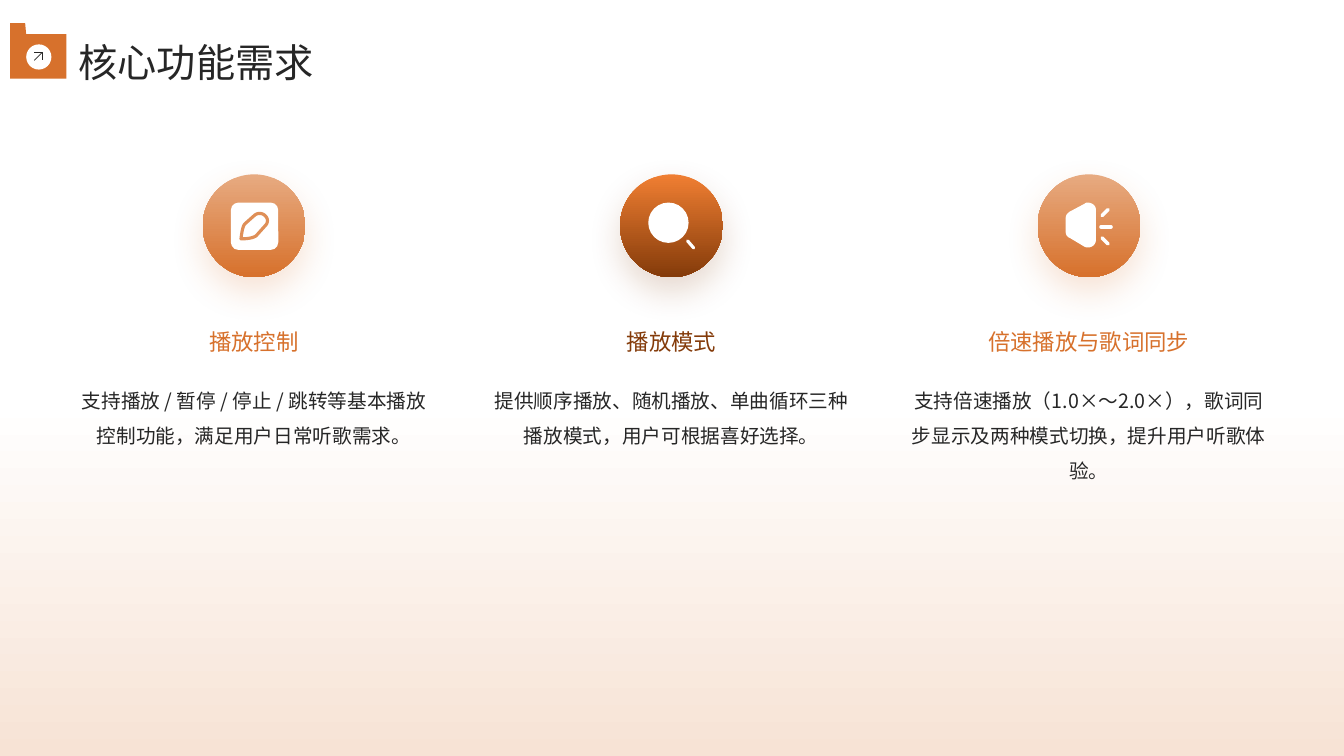
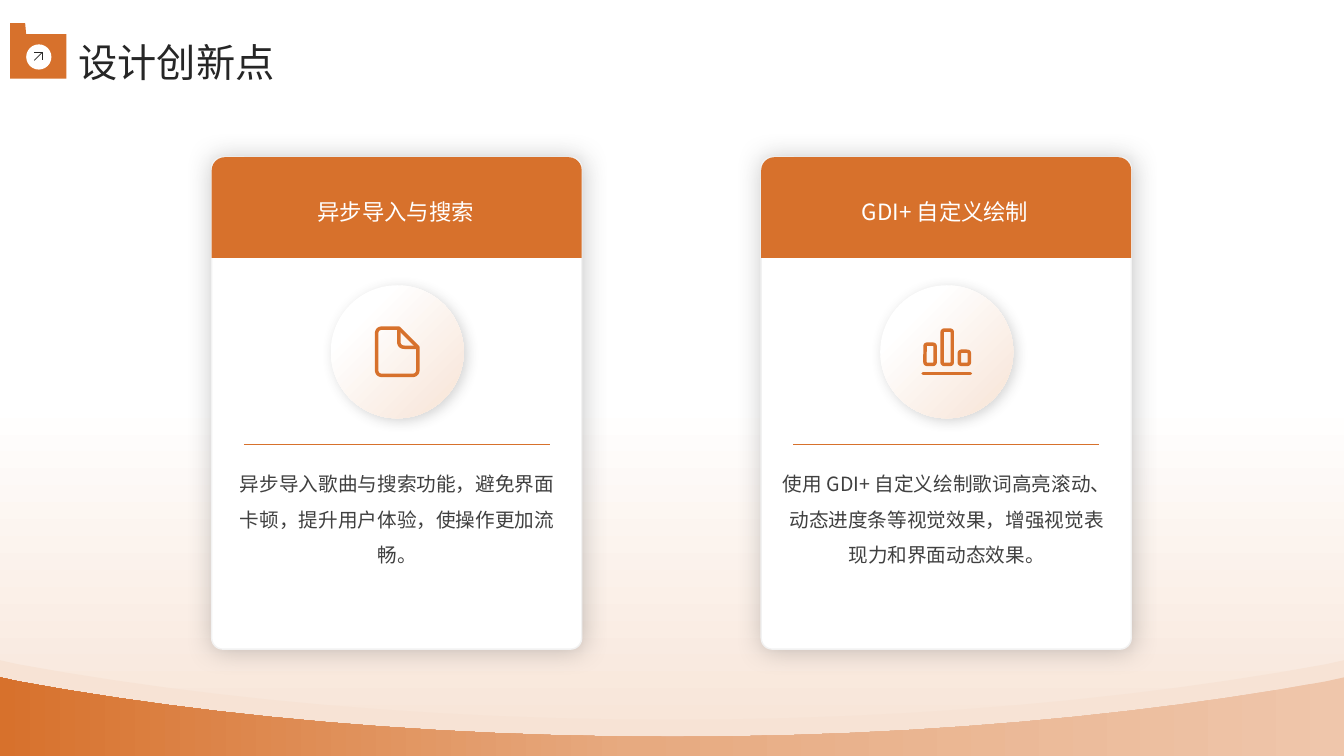
from copy import deepcopy
from dataclasses import dataclass

from lxml import etree
from pptx import Presentation
from pptx import util as u
from pptx.dml.color import RGBColor
from pptx.enum import shapes, text
from pptx.oxml.ns import qn

KIND = shapes.MSO_SHAPE
ALIGN = text.PP_ALIGN
ANCHOR = text.MSO_ANCHOR


@dataclass(frozen=True)
class Theme:
    font: str = "Noto Sans CJK SC"
    main: str = "D7712C"
    dark: str = "843B0A"
    glow: str = "EF7E32"
    soft: str = "E7AA80"
    pale: str = "EFC6AB"
    tint: str = "F7E3D5"
    leaf: str = "DF8F57"
    white: str = "FFFFFF"
    edge: str = "F2F2F2"
    ink: str = "262626"
    gray: str = "404040"
    title: int = 28
    head: int = 16
    body: int = 14


T = Theme()
WIDE, HIGH = 13.33, 7.5


def put(item, **vals):
    for name, val in vals.items():
        setattr(item, name, val)


def rgb(code):
    return RGBColor.from_string(code)


def paint(fill, look):
    """Look is None, a colour, or (angle, [(percent, colour), ...])."""
    if look is None:
        fill.background()
    elif isinstance(look, str):
        fill.solid()
        fill.fore_color.rgb = rgb(look)
    else:
        angle, stops = look
        fill.gradient()
        fill.gradient_angle = 360 - angle
        first = fill.gradient_stops[0]._gs
        for _ in stops[2:]:
            first.addnext(deepcopy(first))
        for stop, (part, code) in zip(fill.gradient_stops, stops):
            stop.color.rgb = rgb(code)
            stop.position = part / 100


def stroke(line, code, width):
    paint(line.fill, code)
    if code:
        line.width = u.Pt(width)


def shade(shape, code, alpha, blur, dist, angle):
    root = shape._element.spPr.find(qn("a:effectLst"))
    cast = etree.SubElement(
        root, qn("a:outerShdw"), blurRad=str(u.Pt(blur)), dist=str(u.Pt(dist)),
        dir=str(angle * 60000), algn="ctr", rotWithShape="0")
    tone = etree.SubElement(cast, qn("a:srgbClr"), val=code)
    etree.SubElement(tone, qn("a:alpha"), val=str(alpha * 1000))


def dress(shape, look, line=None, width=1, cast=None):
    shape.shadow.inherit = False
    paint(shape.fill, look)
    stroke(shape.line, line, width)
    if cast:
        shade(shape, *cast)
    return shape


def draw(slide, kind, box, look, adj=(), **more):
    shape = slide.shapes.add_shape(kind, *map(u.Inches, box))
    for i, val in enumerate(adj):
        shape.adjustments[i] = val
    return dress(shape, look, **more)


def bend(start, curve, steps=12):
    """Points along a cubic curve given as six numbers."""
    a, b, c, d = start, curve[:2], curve[2:4], curve[4:]
    for i in range(1, steps + 1):
        t = i / steps
        s = 1 - t
        yield tuple(s**3 * p + 3 * s * s * t * q + 3 * s * t * t * r + t**3 * e
                    for p, q, r, e in zip(a, b, c, d))


def trace(slide, x, y, route, look, close=True, **more):
    """Outline at x, y; pairs are corners, sixes are curves."""
    pts = [route[0]]
    for step in route[1:]:
        pts.extend([step] if len(step) == 2 else bend(pts[-1], step))
    spots = [(u.Inches(x + px), u.Inches(y + py)) for px, py in pts]
    pen = slide.shapes.build_freeform(*spots[0])
    pen.add_line_segments(spots[1:], close=close)
    return dress(pen.convert_to_shape(), look, **more)


def rule(slide, x, y, ends, code, width, cap="flat"):
    x1, y1, x2, y2 = ends
    line = slide.shapes.add_connector(
        shapes.MSO_CONNECTOR.STRAIGHT, u.Inches(x + x1), u.Inches(y + y1),
        u.Inches(x + x2), u.Inches(y + y2))
    stroke(line.line, code, width)
    line.line._get_or_add_ln().set("cap", cap)
    etree.SubElement(line._element.spPr, qn("a:effectLst"))


def write(frame, words, size, code, space, align=ALIGN.CENTER, anchor=ANCHOR.TOP, pad=0):
    put(frame, word_wrap=True, auto_size=text.MSO_AUTO_SIZE.NONE,
        vertical_anchor=anchor, margin_left=u.Inches(pad),
        margin_right=u.Inches(pad), margin_top=0, margin_bottom=0)
    para = frame.paragraphs[0]
    put(para, alignment=align, line_spacing=space)
    run = para.add_run()
    run.text = words
    put(run.font, name=T.font, size=u.Pt(size), bold=False)
    run.font.color.rgb = rgb(code)
    etree.SubElement(run._r.get_or_add_rPr(), qn("a:ea"), typeface=T.font)


def label(slide, box, words, *style, **more):
    area = slide.shapes.add_textbox(*map(u.Inches, box))
    write(area.text_frame, words, *style, **more)


def badge(slide, x, y):
    """Folder mark with an arrow in a disc."""
    trace(slide, x, y, [(0, 0), (0.15, 0), (0.16, 0.11), (0.56, 0.11),
                        (0.56, 0.55), (0, 0.55)], T.main)
    draw(slide, KIND.OVAL, (x + 0.16, y + 0.21, 0.25, 0.25), T.white)
    trace(slide, x + 0.24, y + 0.29, [(0, 0), (0.08, 0), (0.08, 0.08)], None,
          close=False, line=T.ink, width=0.5)
    rule(slide, x + 0.24, y + 0.29, (0, 0.08, 0.08, 0), T.ink, 0.5)


def start(deck, title):
    slide = deck.slides.add_slide(deck.slide_layouts[5])
    write(slide.shapes.title.text_frame, title, T.title, T.ink, 1.3,
          align=ALIGN.LEFT, anchor=ANCHOR.MIDDLE, pad=0.1)
    badge(slide, 0.1, 0.23)
    return slide


def edit(slide, x, y):
    draw(slide, KIND.ROUNDED_RECTANGLE, (x, y, 0.47, 0.47), T.white, [0.16])
    trace(slide, x, y, [
        (0.1, 0.36), (0.11, 0.28, 0.12, 0.23, 0.14, 0.21), (0.23, 0.13),
        (0.26, 0.1, 0.31, 0.1, 0.34, 0.13), (0.37, 0.16, 0.37, 0.2, 0.34, 0.23),
        (0.25, 0.33), (0.22, 0.35, 0.17, 0.36, 0.1, 0.36)],
        None, line=T.leaf, width=2.25)


def search(slide, x, y):
    draw(slide, KIND.OVAL, (x, y, 0.4, 0.4), T.white)
    rule(slide, x, y, (0.39, 0.38, 0.45, 0.45), T.white, 2.25, "rnd")


def sound(slide, x, y):
    trace(slide, x, y, [
        (0.22, 0), (0.26, 0, 0.3, 0.03, 0.3, 0.07), (0.3, 0.37),
        (0.3, 0.42, 0.25, 0.46, 0.19, 0.44), (0.04, 0.35),
        (0.01, 0.34, 0, 0.31, 0, 0.29), (0, 0.16),
        (0, 0.13, 0.01, 0.11, 0.04, 0.09), (0.19, 0.01),
        (0.2, 0, 0.21, 0, 0.22, 0)], T.white)
    for ends in [(0.36, 0.13, 0.42, 0.07), (0.35, 0.24, 0.45, 0.24),
                 (0.36, 0.35, 0.42, 0.41)]:
        rule(slide, x, y, ends, T.white, 2.5, "rnd")


def file(slide, x, y):
    ink = dict(line=T.main, width=2.5)
    trace(slide, x, y, [
        (0.24, 0.02), (0.08, 0.02), (0.04, 0.02, 0.02, 0.04, 0.02, 0.08),
        (0.02, 0.43), (0.02, 0.47, 0.04, 0.49, 0.08, 0.49), (0.37, 0.49),
        (0.41, 0.49, 0.43, 0.47, 0.43, 0.43), (0.43, 0.21)], None, **ink)
    trace(slide, x, y, [
        (0.24, 0.02), (0.24, 0.15), (0.24, 0.19, 0.26, 0.21, 0.3, 0.21),
        (0.43, 0.21)], None, close=False, **ink)


def bars(slide, x, y):
    for left, top in [(0.04, 0.16), (0.21, 0.02), (0.38, 0.23)]:
        draw(slide, KIND.ROUNDED_RECTANGLE,
             (x + left, y + top, 0.1, 0.36 - top), None, [0.2],
             line=T.main, width=2.5)
    rule(slide, x, y, (0.02, 0.45, 0.49, 0.45), T.main, 2.5, "rnd")


def column(slide, x, y, icon, head, body, tone, light):
    wide = 3.6
    draw(slide, KIND.OVAL, (x + 1.29, y, 1.02, 1.02),
         (90, [(1, light), (100, tone)]), cast=(tone, 20, 25, 10, 90))
    icon(slide, x + 1.57, y + 0.28)
    label(slide, (x, y + 1.22, wide, 0.79), head, T.head, tone, 1.3,
          anchor=ANCHOR.MIDDLE)
    label(slide, (x, y + 2.01, wide, 2.48), body, T.body, T.ink, 1.5)


def card(slide, x, y, icon, size, head, body):
    wide, mid = 3.67, 1.84
    draw(slide, KIND.ROUNDED_RECTANGLE, (x, y, wide, 4.88), T.white, [0.03],
         line=T.edge, cast=(T.gray, 29, 18, 0, 0))
    draw(slide, KIND.ROUND_2_SAME_RECTANGLE, (x, y, wide, 1), T.main, [0.13, 0])
    label(slide, (x + 0.21, y + 0.08, 3.23, 0.83), head, T.head, T.white, 1.3,
          anchor=ANCHOR.MIDDLE)
    label(slide, (x + 0.21, y + 3.01, 3.26, 1.67), body, T.body, T.gray, 1.5)
    rule(slide, x, y, (0.32, 2.85, 3.35, 2.85), T.main, 1)
    draw(slide, KIND.OVAL, (x + mid - 0.66, y + 1.27, 1.32, 1.32),
         (45, [(23, T.white), (100, T.tint)]), cast=(T.gray, 22, 9, 3, 45))
    icon(slide, x + mid - size[0] / 2, y + 1.93 - size[1] / 2)


def wave(slide, y, look):
    trace(slide, 0, y, [
        (0, 0), (0.18, 0.04), (2.03, 0.38, 4.27, 0.59, 6.67, 0.59),
        (9.07, 0.59, 11.3, 0.38, 13.15, 0.04), (WIDE, 0), (WIDE, 0.78),
        (0, 0.78)], look)


def needs(deck):
    slide = start(deck, "核心功能需求")
    items = [
        (edit, "播放控制",
         "支持播放 / 暂停 / 停止 / 跳转等基本播放控制功能，满足用户日常听歌需求。",
         T.main, T.soft),
        (search, "播放模式",
         "提供顺序播放、随机播放、单曲循环三种播放模式，用户可根据喜好选择。",
         T.dark, T.glow),
        (sound, "倍速播放与歌词同步",
         "支持倍速播放（1.0×～2.0×），歌词同步显示及两种模式切换，提升用户听歌体验。",
         T.main, T.soft),
    ]
    for i, item in enumerate(items):
        column(slide, 0.72 + 4.14 * i, 1.73, *item)


def ideas(deck):
    slide = start(deck, "设计创新点")
    items = [
        (file, (0.45, 0.51), "异步导入与搜索",
         "异步导入歌曲与搜索功能，避免界面卡顿，提升用户体验，使操作更加流畅。"),
        (bars, (0.51, 0.47), "GDI+ 自定义绘制",
         "使用 GDI+ 自定义绘制歌词高亮滚动、动态进度条等视觉效果，增强视觉表现力和界面动态效果。"),
    ]
    for i, item in enumerate(items):
        card(slide, 2.1 + 5.45 * i, 1.56, *item)
    wave(slide, 6.55, T.tint)
    wave(slide, 6.72, (180, [(0, T.pale), (53, T.soft), (100, T.main)]))


def main():
    deck = Presentation()
    put(deck, slide_width=u.Inches(WIDE), slide_height=u.Inches(HIGH))
    layout = deck.slide_layouts[5]
    paint(layout.background.fill, (90, [(53, T.white), (100, T.tint)]))
    put(layout.placeholders[0], left=u.Inches(0.68), top=u.Inches(0.26),
        width=u.Inches(11.88), height=u.Inches(0.56))
    needs(deck)
    ideas(deck)
    deck.save("out.pptx")


if __name__ == "__main__":
    main()
